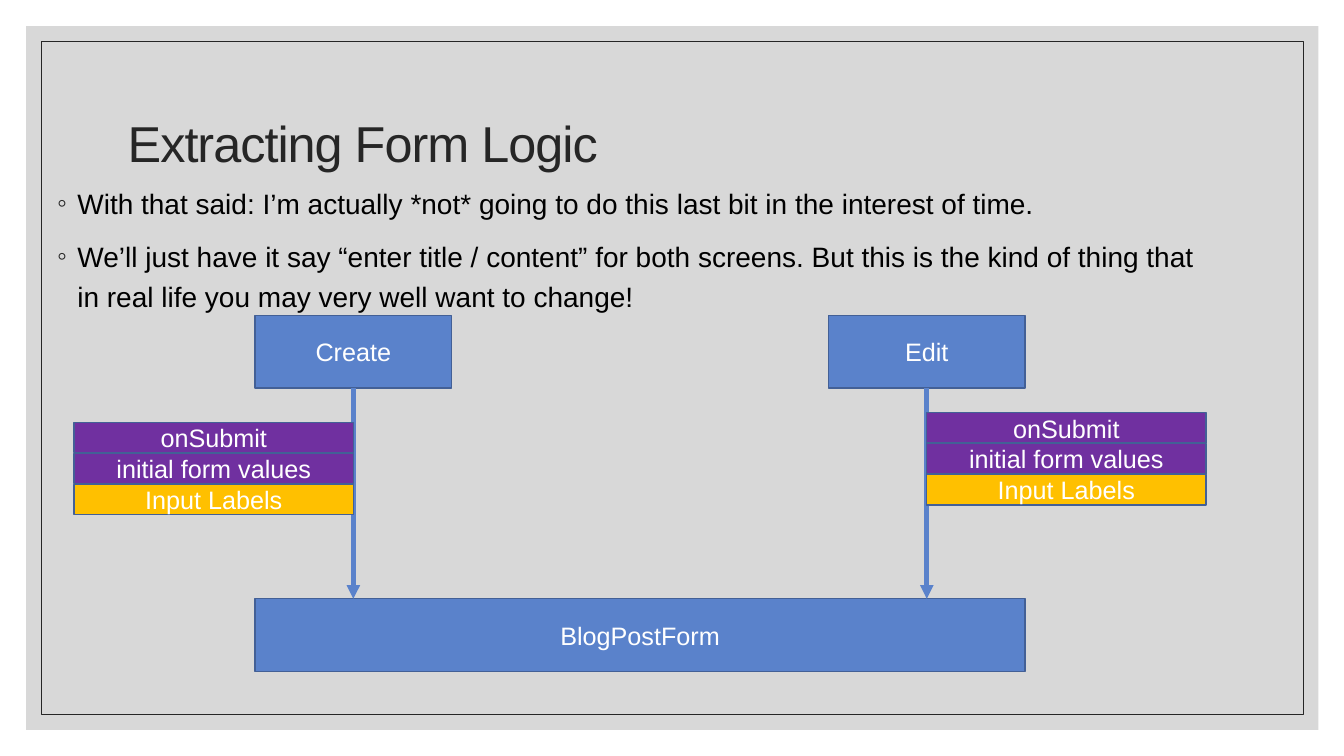
import pptx
import pptx.util
import pptx.dml.color
import pptx.enum.shapes
import pptx.enum.text
import pptx.oxml
from pptx.oxml.ns import qn

Pt = pptx.util.Pt
RGBColor = pptx.dml.color.RGBColor
PP_ALIGN = pptx.enum.text.PP_ALIGN
ANCHOR = pptx.enum.text.MSO_ANCHOR

FONT = "Arial"
WHITE = RGBColor(0xFF, 0xFF, 0xFF)
BLACK = RGBColor(0x00, 0x00, 0x00)
INK = RGBColor(0x26, 0x26, 0x26)
GREY = RGBColor(0xBF, 0xBF, 0xBF)
BLUE = RGBColor(0x5A, 0x82, 0xCB)
EDGE = RGBColor(0x43, 0x60, 0x96)
PURPLE = RGBColor(0x70, 0x30, 0xA0)
AMBER = RGBColor(0xFF, 0xC0, 0x00)

STACK_ROWS = [("onSubmit", PURPLE), ("initial form values", PURPLE), ("Input Labels", AMBER)]
ROW_HEIGHT, ROW_PITCH = 21.6, 22.1


def sub_element(parent, tag, **attributes):
    element = pptx.oxml.parse_xml(
        f'<{tag} xmlns:a="http://schemas.openxmlformats.org/drawingml/2006/main"/>')
    for key, value in attributes.items():
        element.set(key, value)
    parent.append(element)
    return element


def write(paragraph, text, size=18, color=WHITE, align=PP_ALIGN.LEFT,
          line_spacing=None, space_before=0, tracking=None):
    run = paragraph.add_run()
    run.text = text
    run.font.name, run.font.size = FONT, Pt(size)
    run.font.color.rgb = color
    paragraph.alignment = align
    paragraph.space_before = Pt(space_before)
    if line_spacing:
        paragraph.line_spacing = line_spacing
    if tracking:
        run.font._element.set("spc", str(tracking))


def rectangle(shapes, box, fill=None, edge=None, edge_width=1):
    shape = shapes.add_shape(pptx.enum.shapes.MSO_SHAPE.RECTANGLE, *map(Pt, box))
    shape.shadow.inherit = False
    if fill is None:
        shape.fill.background()
    else:
        shape.fill.solid()
        shape.fill.fore_color.rgb = fill
    if edge is None:
        shape.line.fill.background()
    else:
        shape.line.color.rgb = edge
        shape.line.width = Pt(edge_width)
    return shape


def label_box(shapes, box, text, fill=BLUE):
    shape = rectangle(shapes, box, fill, EDGE)
    frame = shape.text_frame
    frame.margin_top = frame.margin_bottom = 0
    frame.vertical_anchor = ANCHOR.MIDDLE
    write(frame.paragraphs[0], text, align=PP_ALIGN.CENTER)


def text_frame(slide, box, anchor):
    frame = slide.shapes.add_textbox(*map(Pt, box)).text_frame
    frame.word_wrap = True
    frame.vertical_anchor = anchor
    return frame


def backdrop(slide, box, inset=10.8):
    left, top, width, height = box
    panel = rectangle(slide.shapes, box, GREY)
    color = panel._element.spPr.find(qn("a:solidFill"))[0]
    sub_element(color, "a:alpha", val="60000")
    inner = (left + inset, top + inset, width - 2 * inset, height - 2 * inset)
    rectangle(slide.shapes, inner, edge=INK, edge_width=0.5)


def title(slide, box, text):
    frame = text_frame(slide, box, ANCHOR.MIDDLE)
    write(frame.paragraphs[0], text, size=36, color=INK, line_spacing=0.9, tracking=-70)


def bullets(slide, box, items):
    frame = text_frame(slide, box, ANCHOR.TOP)
    for index, item in enumerate(items):
        paragraph = frame.add_paragraph() if index else frame.paragraphs[0]
        write(paragraph, item, size=20, color=BLACK, line_spacing=1.2,
              space_before=9 if index else 0)
        properties = paragraph._p.get_or_add_pPr()
        properties.set("marL", str(Pt(14.4)))
        properties.set("indent", str(-Pt(14.4)))
        bullet_color = sub_element(properties, "a:buClr")
        sub_element(bullet_color, "a:srgbClr", val=str(INK))
        sub_element(properties, "a:buFont", typeface=FONT)
        sub_element(properties, "a:buChar", char="◦")


def arrow(slide, x, top, bottom):
    line = slide.shapes.add_connector(
        pptx.enum.shapes.MSO_CONNECTOR.STRAIGHT, Pt(x), Pt(top), Pt(x), Pt(bottom))
    line.line.color.rgb = BLUE
    line.line.width = Pt(3.25)
    sub_element(line.line._get_or_add_ln(), "a:tailEnd", type="triangle")
    sub_element(line._element.spPr, "a:effectLst")


def prop_stack(slide, left, top, width):
    group = slide.shapes.add_group_shape()
    for index, (text, fill) in enumerate(STACK_ROWS):
        label_box(group.shapes, (left, top + index * ROW_PITCH, width, ROW_HEIGHT), text, fill)


def form_diagram(slide, box):
    left, top, width, height = box
    screen_width, box_height, stack_width = 140.4, 51.8, 199.4
    form_top = top + height - box_height
    create_x = left + screen_width / 2
    edit_x = left + width - screen_width / 2
    # Screens and the shared form
    for center, text in ((create_x, "Create"), (edit_x, "Edit")):
        label_box(slide.shapes, (center - screen_width / 2, top, screen_width, box_height), text)
    label_box(slide.shapes, (left, form_top, width, box_height), "BlogPostForm")
    # Arrows down to the form
    for center in (create_x, edit_x):
        arrow(slide, center, top + box_height, form_top)
    # What each screen passes down
    prop_stack(slide, create_x - stack_width, top + 76.3, stack_width)
    prop_stack(slide, edit_x, top + 69.5, stack_width)


def main():
    deck = pptx.Presentation()
    deck.slide_width, deck.slide_height = Pt(960), Pt(540)
    slide = deck.slides.add_slide(deck.slide_layouts[6])
    backdrop(slide, (18.7, 18.7, 923, 502.6))
    title(slide, (84.2, 50.4, 792, 108), "Extracting Form Logic")
    bullets(slide, (33.8, 124.6, 842.4, 354.2), [
        "With that said: I’m actually *not* going to do this last bit in the interest of time.",
        "We’ll just have it say “enter title / content” for both screens. But this is the kind "
        "of thing that in real life you may very well want to change!",
    ])
    form_diagram(slide, (182.2, 225.4, 550, 254.1))
    deck.save("out.pptx")


if __name__ == "__main__":
    main()
